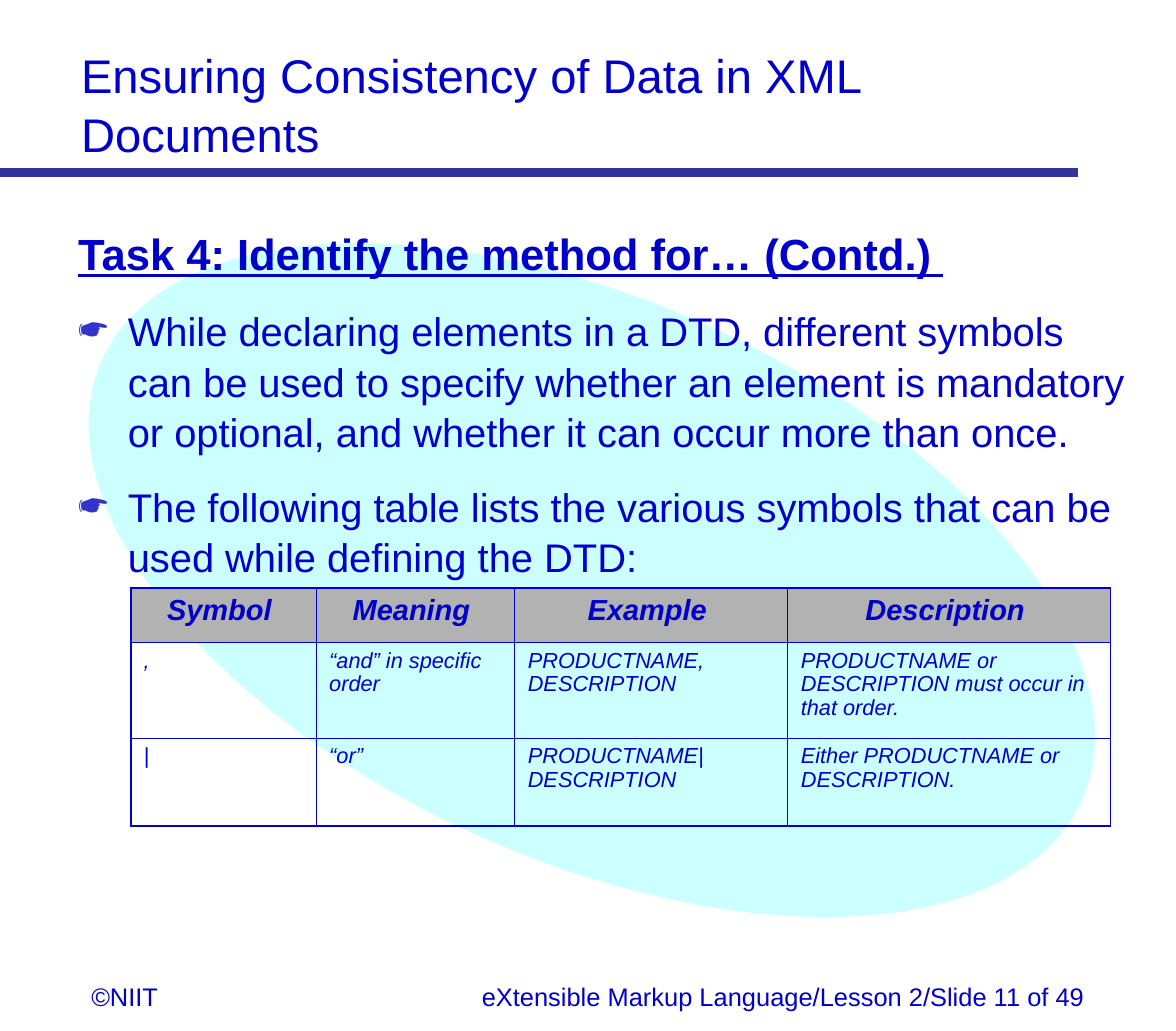
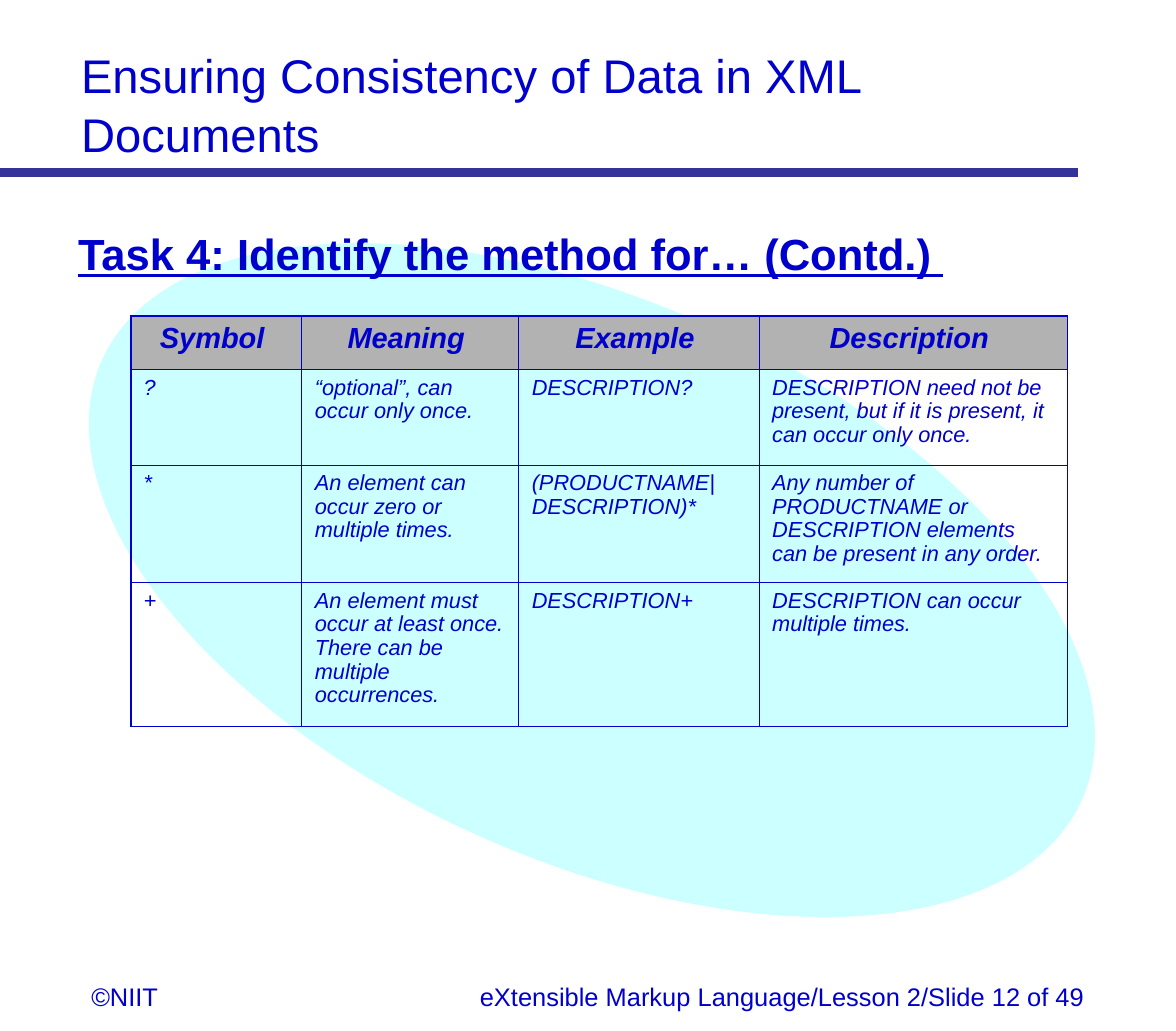
from lxml import etree
from pptx import Presentation
from pptx.dml.color import RGBColor
from pptx.enum.shapes import MSO_CONNECTOR as CONN, MSO_SHAPE as SHAPE
from pptx.enum.text import MSO_ANCHOR as ANCHOR, MSO_AUTO_SIZE as AUTO, PP_ALIGN as ALIGN
from pptx.oxml.ns import qn
from pptx.util import Emu, Pt

COLORS = {
    "text": "0000CC",
    "bullet": "3333CC",
    "rule": "333399",
    "oval": "CCFFFF",
    "header": "B2B2B2",
}
FONT = "Arial"
TITLE = "Ensuring Consistency of Data in XML Documents"
HEADING = "Task 4: Identify the method for… (Contd.) "
COLUMNS = ["Symbol ", "Meaning ", "Example ", "Description "]
INDENT = 38
OUTER, INNER = 1.08, 0.45


def px(n):
    return Emu(n * 9144)


def rgb(name):
    return RGBColor.from_string(COLORS[name])


class Deck:
    def __init__(self, width, height):
        self.prs = Presentation()
        self.prs.slide_width, self.prs.slide_height = px(width), px(height)
        self.slide = None

    def add_slide(self, title, number):
        self.slide = self.prs.slides.add_slide(self.prs.slide_layouts[5])
        self.oval(239, 33, 428, 822, 294.2)
        self.title(title, 52, 28, 780, 97)
        self.text("©NIIT", 60, 745, 112, 34)
        self.text(f"eXtensible Markup Language/Lesson 2/Slide {number} of 49",
                  315, 745, 525, 34, ALIGN.RIGHT)
        self.rule(0, 825, 132)

    def run(self, p, text, size, bold=False, italic=False, underline=False):
        r = p.add_run()
        r.text = text
        f = r.font
        f.name, f.size = FONT, Pt(size)
        f.bold, f.italic, f.underline = bold, italic, underline
        f.color.rgb = rgb("text")

    def frame(self, sp):
        tf = sp.text_frame
        tf.word_wrap = True
        tf.auto_size = AUTO.NONE
        tf.vertical_anchor = ANCHOR.TOP
        return tf

    def oval(self, x, y, w, h, angle):
        sp = self.slide.shapes.add_shape(SHAPE.OVAL, px(x), px(y), px(w), px(h))
        sp.rotation = angle
        sp.shadow.inherit = False
        sp.fill.solid()
        sp.fill.fore_color.rgb = rgb("oval")
        sp.line.fill.background()
        self.slide.shapes._spTree.insert(2, sp._element)

    def rule(self, x1, x2, y):
        line = self.slide.shapes.add_connector(CONN.STRAIGHT, px(x1), px(y), px(x2), px(y))
        line.line.color.rgb = rgb("rule")
        line.line.width = Pt(5)
        etree.SubElement(line._element.spPr, qn("a:effectLst"))

    def title(self, text, x, y, w, h):
        sp = self.slide.shapes.title
        sp.left, sp.top, sp.width, sp.height = px(x), px(y), px(w), px(h)
        p = self.frame(sp).paragraphs[0]
        p.alignment = ALIGN.LEFT
        p.line_spacing = 1.05
        self.run(p, text, 26)

    def text(self, text, x, y, w, h, align=ALIGN.LEFT):
        sp = self.slide.shapes.add_textbox(px(x), px(y), px(w), px(h))
        p = self.frame(sp).paragraphs[0]
        p.alignment = align
        p.line_spacing = 1.05
        self.run(p, text, 14)

    def bullet(self, p):
        pPr = p._p.get_or_add_pPr()
        pPr.set("marL", str(px(INDENT)))
        pPr.set("indent", str(px(-INDENT)))
        clr = etree.SubElement(pPr, qn("a:buClr"))
        etree.SubElement(clr, qn("a:srgbClr"), val=COLORS["bullet"])
        etree.SubElement(pPr, qn("a:buChar"), char="☛")

    def body(self, heading, bullets, x, y, w, h):
        sp = self.slide.shapes.add_textbox(px(x), px(y), px(w), px(h))
        tf = self.frame(sp)
        p = tf.paragraphs[0]
        p.line_spacing = 1.05
        self.run(p, heading, 24, bold=True, underline=True)
        for text in bullets:
            p = tf.add_paragraph()
            self.bullet(p)
            p.line_spacing = 1.05
            p.space_before = Pt(13.8)
            self.run(p, text, 22)

    def borders(self, cell, widths):
        tcPr = cell._tc.get_or_add_tcPr()
        for side, width in zip("LRTB", widths):
            ln = etree.SubElement(tcPr, qn(f"a:ln{side}"), w=str(Pt(width)))
            fill = etree.SubElement(ln, qn("a:solidFill"))
            etree.SubElement(fill, qn("a:srgbClr"), val=COLORS["text"])

    def table(self, rows, x, y, widths, heights):
        rows = [COLUMNS] + rows
        last_row, last_col = len(rows) - 1, len(widths) - 1
        tbl = self.slide.shapes.add_table(len(rows), len(widths), px(x), px(y),
                                          px(sum(widths)), px(sum(heights))).table
        tbl.horz_banding = False
        for col, w in zip(tbl.columns, widths):
            col.width = px(w)
        for row, h in zip(tbl.rows, heights):
            row.height = px(h)
        for i, row in enumerate(rows):
            for j, text in enumerate(row):
                cell = tbl.cell(i, j)
                edges = (j == 0, j == last_col, i == 0, i == last_row)
                self.borders(cell, [OUTER if edge else INNER for edge in edges])
                p = cell.text_frame.paragraphs[0]
                if i == 0:
                    cell.fill.solid()
                    cell.fill.fore_color.rgb = rgb("header")
                    p.alignment = ALIGN.CENTER
                    self.run(p, text, 16, bold=True, italic=True)
                else:
                    cell.fill.background()
                    p.line_spacing = 0.97
                    self.run(p, text, 12, italic=True)


def main():
    deck = Deck(900, 789)

    deck.add_slide(TITLE, 11)
    deck.body(HEADING, [
        "While declaring elements in a DTD, different symbols can be used to specify whether "
        "an element is mandatory or optional, and whether it can occur more than once.",
        "The following table lists the various symbols that can be used while defining the DTD:",
    ], 50, 167, 825, 561)
    deck.table([
        [",", "“and” in specific order", "PRODUCTNAME, DESCRIPTION",
         "PRODUCTNAME or DESCRIPTION must occur in that order."],
        ["|", "“or”", "PRODUCTNAME|DESCRIPTION", "Either PRODUCTNAME or DESCRIPTION."],
    ], 100, 450, [142, 152, 209, 247], [42, 73, 67])

    deck.add_slide(TITLE, 12)
    deck.body(HEADING, [], 50, 167, 817, 561)
    deck.table([
        ["?", "“optional”, can occur only once.", "DESCRIPTION?",
         "DESCRIPTION need not be present, but if it is present, it can occur only once."],
        ["*", "An element can occur zero or multiple times.", "(PRODUCTNAME|DESCRIPTION)*",
         "Any number of PRODUCTNAME or DESCRIPTION elements can be present in any order."],
        ["+", "An element must occur at least once. There can be multiple occurrences.",
         "DESCRIPTION+", "DESCRIPTION can occur multiple times."],
    ], 100, 242, [131, 166, 184, 236], [41, 73, 90, 110])

    deck.prs.save("out.pptx")


if __name__ == "__main__":
    main()
